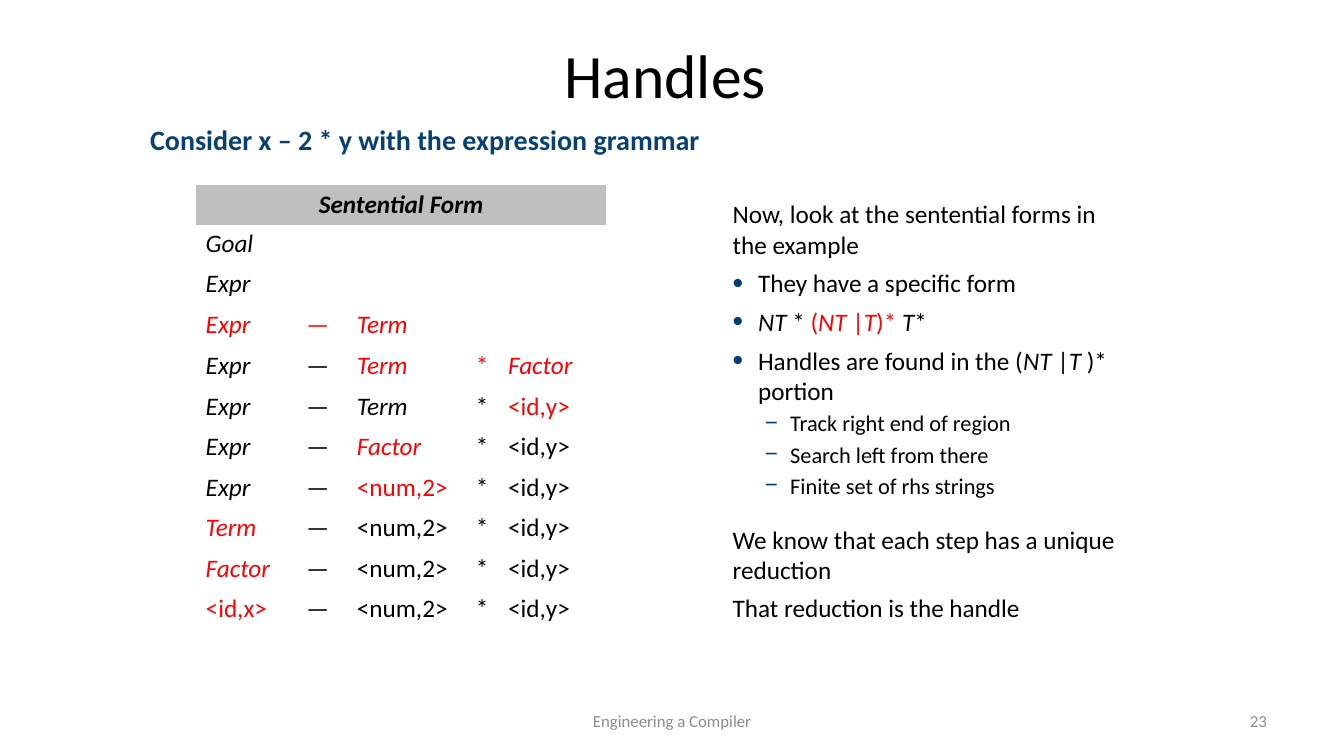
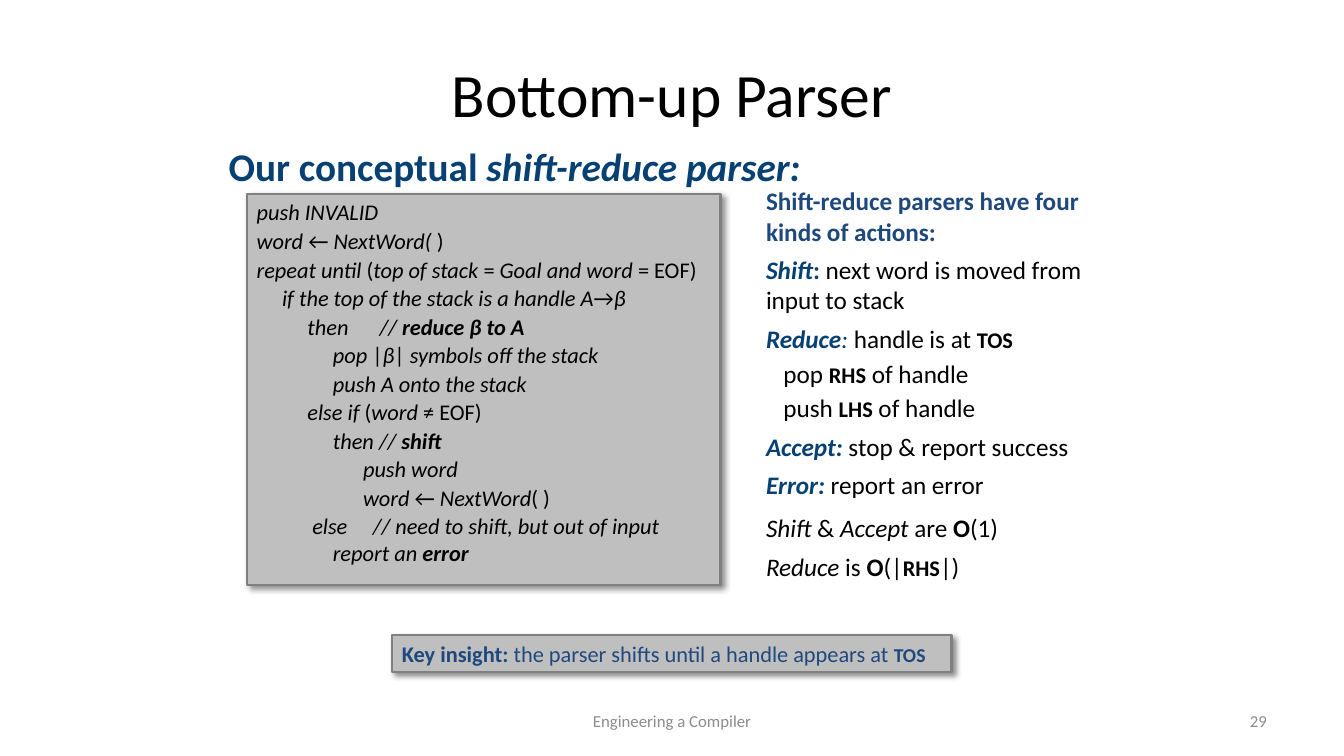
from lxml import etree
from pptx import Presentation
from pptx.dml.color import RGBColor
from pptx.enum import shapes, text
from pptx.oxml import ns
from pptx.util import Cm, Pt

HUES = {
    "black": "000000", "white": "FFFFFF", "red": "FF0000",
    "navy": "074073", "blue": "1F497D", "mark": "003C75",
    "gray": "BFBFBF", "edge": "808080", "foot": "8C8C8C",
}
TINTS = {"r": "red", "n": "navy", "d": "blue"}
FONT = "Calibri"
LEFT, MID, RIGHT = text.PP_ALIGN.LEFT, text.PP_ALIGN.CENTER, text.PP_ALIGN.RIGHT
TOP, CORE = text.MSO_ANCHOR.TOP, text.MSO_ANCHOR.MIDDLE

FORMS = [
    "Goal",
    "Expr",
    "!Expr !— !Term",
    "Expr — !Term !* !Factor",
    "Expr — Term * !<id,y>",
    "Expr — !Factor * <id,y>",
    "Expr — !<num,2> * <id,y>",
    "!Term — <num,2> * <id,y>",
    "!Factor — <num,2> * <id,y>",
    "!<id,x> — <num,2> * <id,y>",
]
DOT = dict(left=0.64, hang=0.64, mark="•", scale=120)
DASH = dict(left=1.45, hang=0.64, mark="−", size=16, gap=3, level=1)
NOTES = [
    ("Now, look at the sentential forms in the example", {}),
    ("They have a specific form", DOT),
    ("{i}NT {}* {r}({ri}NT {r}|{ri}T{r})* {i}T{}*", DOT),
    ("Handles are found in the ({i}NT {}|{i}T {})* portion", DOT),
    ("Track right end of region", DASH),
    ("Search left from there", DASH),
    ("Finite set of rhs strings", DASH),
    ("We know that each step has a unique reduction", dict(gap=18)),
    ("That reduction is the handle", {}),
]
CODE = [
    ("{i}push INVALID", {}),
    ("{i}word {}← {i}NextWord({} )", {}),
    ("{i}repeat until {}({i}top of stack {}={i} Goal and word {}= EOF)", {}),
    ("{i}if the top of the stack is a handle A{}→{i}β", dict(left=0.64)),
    ("{i}then\t// {bi}reduce β to A", dict(left=3.1, hang=1.82)),
    ("{i}pop {}|{i}β{}| {i}symbols off the stack", dict(left=1.92)),
    ("{i}push A onto the stack", dict(left=1.92)),
    ("{i}else if {}({i}word {}≠ EOF)", dict(left=1.28)),
    ("{i}then // {bi}shift", dict(left=1.92)),
    ("{i}push word", dict(left=2.68)),
    ("{i}word {}← {i}NextWord{}( )", dict(left=2.68)),
    ("{i}else\t// need to shift, but out of input", dict(left=2.93, hang=1.53)),
    ("{i}report an {bi}error", dict(left=1.92, gap=0)),
]
STEP = dict(left=0.44, gap=3)
ACTS = [
    ("{bd}Shift-reduce parsers have four kinds of actions:", {}),
    ("{bin}Shift{bn}:{} next word is moved from input to stack", {}),
    ("{bin}Reduce{in}:{} handle is at {bs}TOS", {}),
    ("pop {bs}RHS{} of handle", STEP),
    ("push {bs}LHS{} of handle", STEP),
    ("{bin}Accept:{} stop & report success", {}),
    ("{bin}Error:{} report an error", {}),
    ("{i}Shift{} & {i}Accept{} are {b}O{}(1)", dict(gap=9)),
    ("{i}Reduce{} is {b}O{}(|{bs}RHS{}|)", {}),
]


def hue(name):
    return RGBColor.from_string(HUES[name])


def add(root, tag, **attrs):
    node = etree.SubElement(root, ns.qn(tag))
    for key, val in attrs.items():
        node.set(key, str(val))
    return node


def say(frame, words, size=18, tint="black", left=0, hang=0, gap=0,
        mark=None, scale=100, level=0, align=LEFT, lead=None):
    par = frame.add_paragraph() if frame.text else frame.paragraphs[0]
    par.level, par.alignment = level, align
    par.space_before = Pt(gap)
    if lead:
        par.line_spacing = Pt(lead)
    props = par._p.get_or_add_pPr()
    props.set("marL", str(Cm(left)))
    props.set("indent", str(-Cm(hang)))
    if mark:
        add(add(props, "a:buClr"), "a:srgbClr", val=HUES["mark"])
        add(props, "a:buSzPct", val=scale * 1000)
        add(props, "a:buChar", char=mark)
    else:
        add(props, "a:buNone")
    for piece in ("}" + words).split("{"):
        style, _, part = piece.partition("}")
        if not part:
            continue
        run = par.add_run()
        run.text = part
        font = run.font
        font.name = FONT
        font.size = Pt(size - 2 if "s" in style else size)
        font.bold, font.italic = "b" in style, "i" in style
        font.color.rgb = hue(next((TINTS[c] for c in style if c in TINTS), tint))


def place(shape, box, anchor=TOP):
    shape.left, shape.top, shape.width, shape.height = map(Cm, box)
    frame = shape.text_frame
    frame.word_wrap = True
    frame.auto_size = text.MSO_AUTO_SIZE.NONE
    frame.vertical_anchor = anchor
    return frame


def tell(frame, lines, **base):
    for words, fmt in lines:
        say(frame, words, **{**base, **fmt})


def label(slide, box, words, align):
    shape = slide.shapes.add_textbox(*map(Cm, box))
    say(place(shape, box, CORE), words, size=12, tint="foot", align=align)


def start(deck, title, high, page):
    slide = deck.slides.add_slide(deck.slide_layouts[3])
    frame = place(slide.shapes.title, (1.7, 0.76, 30.48, high), CORE)
    say(frame, title, size=44, align=MID)
    label(slide, (11.58, 17.65, 10.72, 1.02), "Engineering a Compiler", MID)
    label(slide, (24.28, 17.65, 7.9, 1.02), page, RIGHT)
    return slide


def panel(slide, box, lines, **base):
    shape = slide.shapes.add_shape(shapes.MSO_SHAPE.RECTANGLE, *map(Cm, box))
    shape.shadow.inherit = False
    shape.fill.solid()
    shape.fill.fore_color.rgb = hue("gray")
    shape.line.color.rgb = hue("edge")
    shape.line.width = Pt(1.5)
    glow = shape._element.spPr.find(ns.qn("a:effectLst"))
    cast = add(glow, "a:outerShdw", blurRad=Pt(4), dist=Pt(3), dir=45 * 60000,
               algn="tl", rotWithShape=0)
    add(add(cast, "a:srgbClr", val=HUES["black"]), "a:alpha", val=43000)
    frame = place(shape, box)
    frame.auto_size = text.MSO_AUTO_SIZE.SHAPE_TO_FIT_TEXT
    tell(frame, lines, **base)


def grid(slide, box):
    cols = (2.54, 1.27, 3, 0.81, 2.74)
    table = slide.shapes.add_table(len(FORMS) + 1, len(cols), *map(Cm, box)).table
    table.first_row = table.horz_banding = False
    for col, wide in zip(table.columns, cols):
        col.width = Cm(wide)
    for num, row in enumerate(table.rows):
        row.height = Cm(1.02 if num else 1.04)
        for cell in row.cells:
            cell.fill.solid()
            cell.fill.fore_color.rgb = hue("white" if num else "gray")
    head = table.cell(0, 0)
    head.merge(table.cell(0, len(cols) - 1))
    say(head.text_frame, "{bi}Sentential Form", align=MID)
    for num, form in enumerate(FORMS, 1):
        for col, word in enumerate(form.split()):
            bare = word.lstrip("!")
            style = "i" if bare.isalpha() else ""
            say(table.cell(num, col).text_frame, "{%s}%s" % (style, bare),
                tint="red" if bare != word else "black", lead=20)


def handles(deck):
    slide = start(deck, "Handles ", 2.18, "23")
    head, body = slide.placeholders[1], slide.placeholders[2]
    say(place(head, (3.53, 2.95, 16.69, 1.63)),
        "{b}Consider x – 2 * y with the expression grammar",
        size=20, tint="navy", gap=4)
    tell(place(body, (18.21, 4.88, 10.16, 11.63)), NOTES, gap=6)
    grid(slide, (4.93, 4.65, 10.36, 11.2))


def parser(deck):
    slide = start(deck, "Bottom-up Parser", 3.18, "29")
    head, body = slide.placeholders[1], slide.placeholders[2]
    say(place(head, (5.51, 3.45, 22.86, 1.6)),
        "{b}Our conceptual {bi}shift-reduce parser:",
        size=28, tint="navy", gap=6)
    tell(place(body, (19.05, 4.55, 9.63, 10.31)), ACTS, gap=6)
    panel(slide, (6.22, 4.88, 11.94, 9.86), CODE, size=16, gap=1.2)
    hint = "{b}Key insight:{} the parser shifts until a handle appears at {bs}TOS"
    panel(slide, (9.88, 16, 14.1, 0.94), [(hint, {})], size=16, tint="blue")


def main():
    deck = Presentation()
    deck.slide_width, deck.slide_height = Cm(33.87), Cm(19.05)
    handles(deck)
    parser(deck)
    deck.save("out.pptx")


if __name__ == "__main__":
    main()
